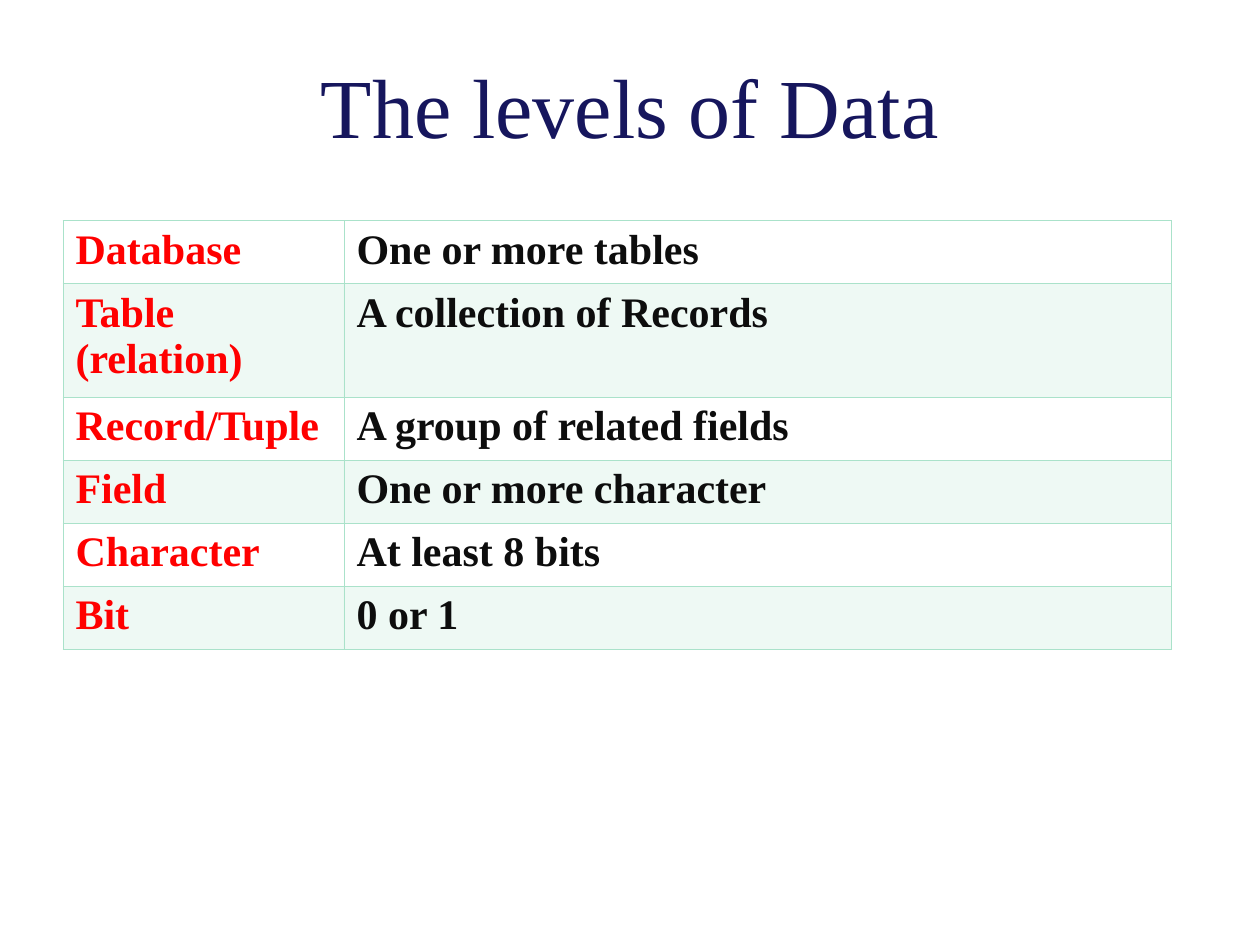
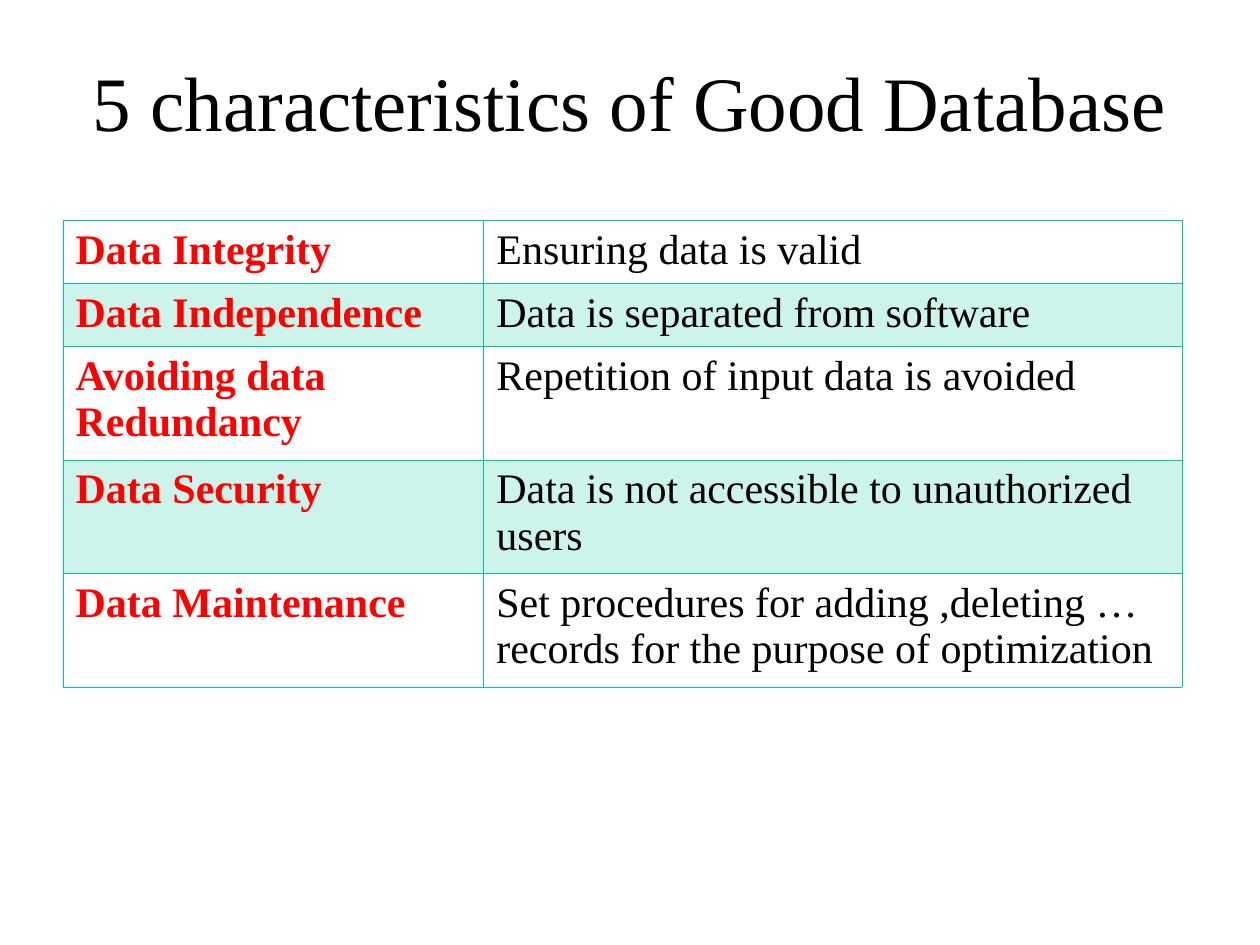
from collections import namedtuple
from dataclasses import dataclass

from lxml.etree import SubElement
from pptx import Presentation
from pptx.dml.color import RGBColor
from pptx.enum.text import MSO_ANCHOR, PP_ALIGN
from pptx.oxml.ns import qn
from pptx.util import Inches, Pt

Box = namedtuple("Box", "left top width height")


@dataclass(frozen=True)
class Theme:
    font: str = "Times New Roman"
    term: str = "FF0000"
    black: str = "000000"
    charcoal: str = "0D0D0D"
    navy: str = "16165D"
    mint: str = "AAE2CA"
    emerald: str = "00CC99"
    body_size: int = 24
    thin: float = 0.45
    thick: float = 0.96
    band_alpha: int = 20


THEME = Theme()
WIDTH, HEIGHT = Inches(10), Inches(7.5)
MARGIN = Inches(0.5)
ROW = Inches(0.5)
TALL = 1.8  # rows taken by a two-line entry
TITLE_BOX = Box(MARGIN, round(HEIGHT * 0.04), WIDTH - 2 * MARGIN, 2.5 * ROW)
TABLE_TOP = round(3.5 * ROW)

# Each entry: term, meaning, height in rows
LEVELS = [
    ("Database", "One or more tables", 1),
    ("Table (relation)", "A collection of Records", TALL),
    ("Record/Tuple", "A group of related fields", 1),
    ("Field", "One or more character", 1),
    ("Character", "At least 8 bits", 1),
    ("Bit", "0 or 1", 1),
]
CHARACTERISTICS = [
    ("Data Integrity", "Ensuring data is valid", 1),
    ("Data Independence", "Data is separated from software", 1),
    ("Avoiding data Redundancy", "Repetition of input data is avoided", TALL),
    ("Data Security", "Data is not accessible to unauthorized users", TALL),
    ("Data Maintenance",
     "Set procedures for adding ,deleting … records for the purpose of optimization", TALL),
]


def write(frame, text, size=THEME.body_size, color=THEME.black, bold=False, align=PP_ALIGN.LEFT):
    para = frame.paragraphs[0]
    para.alignment = align
    span = para.add_run()
    span.text = text
    span.font.name = THEME.font
    span.font.size = Pt(size)
    span.font.bold = bold
    span.font.color.rgb = RGBColor.from_string(color)


def add_title(page, box, text, size, color):
    frame = page.shapes.add_textbox(*map(round, box)).text_frame
    frame.word_wrap = True
    frame.vertical_anchor = MSO_ANCHOR.TOP
    frame.margin_top = Inches(0.13)
    write(frame, text, size=size, color=color, align=PP_ALIGN.CENTER)


def add_borders(cell, color, row):
    """Thin lines all round, with a thicker rule under the first row."""
    properties = cell._tc.get_or_add_tcPr()
    top = THEME.thick if row == 1 else THEME.thin
    bottom = THEME.thick if row == 0 else THEME.thin
    for side, width in (("L", THEME.thin), ("R", THEME.thin), ("T", top), ("B", bottom)):
        line = SubElement(properties, qn(f"a:ln{side}"), w=str(Pt(width)))
        SubElement(SubElement(line, qn("a:solidFill")), qn("a:srgbClr"), val=color)


def fill_cell(cell, color, banded):
    if not banded:
        cell.fill.background()
        return
    cell.fill.solid()
    cell.fill.fore_color.rgb = RGBColor.from_string(color)
    tint = cell._tc.tcPr.find(qn("a:solidFill")).find(qn("a:srgbClr"))
    SubElement(tint, qn("a:alpha"), val=str(THEME.band_alpha * 1000))


def add_definitions(page, box, entries, term_share, accent, meaning_format):
    table = page.shapes.add_table(len(entries), 2, *map(round, box)).table
    table.first_row = table.horz_banding = False
    table.columns[0].width = round(box.width * term_share)
    table.columns[1].width = box.width - table.columns[0].width
    formats = ({"color": THEME.term, "bold": True}, meaning_format)
    for row, (term, meaning, rows) in enumerate(entries):
        table.rows[row].height = round(ROW * rows)
        for column, text in enumerate((term, meaning)):
            cell = table.cell(row, column)
            write(cell.text_frame, text, **formats[column])
            add_borders(cell, accent, row)
            fill_cell(cell, accent, banded=row % 2 == 1)


def add_definition_page(deck, title, title_size, title_color, entries, width_share, **table_style):
    page = deck.slides.add_slide(deck.slide_layouts[6])
    add_title(page, TITLE_BOX, title, title_size, title_color)
    height = ROW * sum(rows for _, _, rows in entries)
    box = Box(MARGIN, TABLE_TOP, round(WIDTH * width_share), height)
    add_definitions(page, box, entries, **table_style)


def main():
    deck = Presentation()
    deck.slide_width, deck.slide_height = WIDTH, HEIGHT
    # Levels, from database down to bit
    add_definition_page(
        deck, "The levels of Data", 48, THEME.navy, LEVELS, 0.88,
        term_share=0.2534, accent=THEME.mint,
        meaning_format={"color": THEME.charcoal, "bold": True})
    # Qualities of a good database
    add_definition_page(
        deck, "5 characteristics of Good Database", 44, THEME.black, CHARACTERISTICS, 0.888,
        term_share=0.3761, accent=THEME.emerald,
        meaning_format={"color": THEME.black})
    deck.save("out.pptx")


if __name__ == "__main__":
    main()
